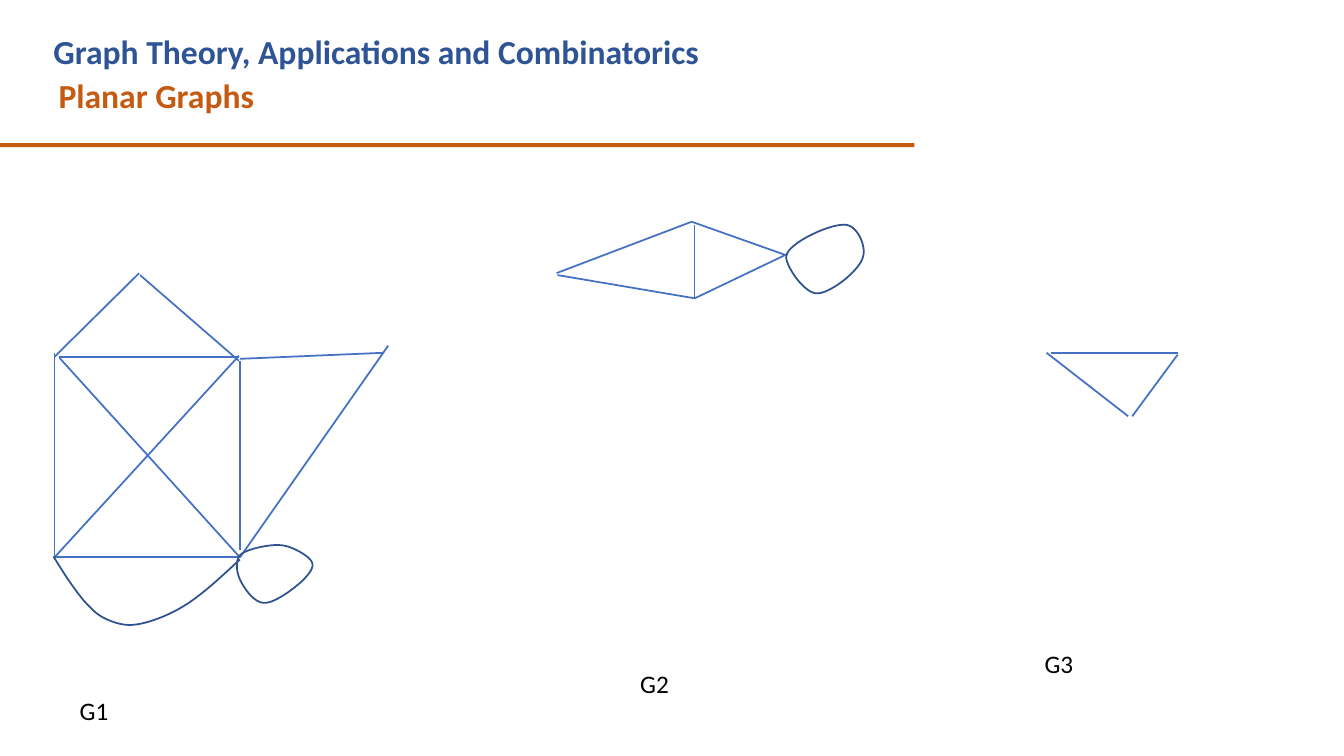
from dataclasses import dataclass

from pptx import Presentation
from pptx.dml.color import RGBColor
from pptx.enum.shapes import MSO_SHAPE
from pptx.enum.text import MSO_ANCHOR, MSO_AUTO_SIZE, PP_ALIGN
from pptx.util import Inches, Pt

RECTANGLE = MSO_SHAPE.RECTANGLE
TOP = MSO_ANCHOR.TOP
LEFT = PP_ALIGN.LEFT
NO_FIT = MSO_AUTO_SIZE.NONE
TITLE_ONLY = 5
CELL = Inches(0.1)
CURVE_STEPS = 6


@dataclass(frozen=True)
class Theme:
    font: str = "Calibri"
    heading: str = "2E5496"
    accent: str = "C55A11"
    edge: str = "4471C4"
    curve: str = "2E528F"
    label: str = "000000"
    title_size: int = 24
    label_size: int = 18
    line: float = 1.25
    thin_line: float = 0.75


THEME = Theme()

G1_EDGES = [
    ((5.9, 35.4), (23.7, 35.4)), ((23.8, 35.8), (23.8, 54.6)),
    ((5.4, 55.25), (23.7, 55.25)), ((5.4, 35.4), (13.8, 27.1)),
    ((13.9, 27.3), (23.7, 35.8)), ((23.8, 35.6), (38.1, 35)),
    ((23.8, 55.3), (38.5, 34.3)), ((5.4, 55.3), (23.7, 35.3)),
    ((5.9, 35.5), (23.8, 55.3)),
]
G1_SIDE = [((5.4, 35), (5.4, 55.3))]
G1_LOOP = [
    (23.9, 55), (23.5, 56.2), (23.9, 57.7), (25.1, 59.3), (26.4, 59.8),
    (28.2, 59), (30.2, 57.4), (31, 56), (30, 54.9), (28, 54.1), (25.7, 54.3),
]
G1_ARC = [
    (5.3, 55.2), (6.9, 57.7), (8.6, 59.9), (10.3, 61.3), (12.7, 62),
    (15.3, 61.5), (18.1, 60.2), (20.7, 58.3), (23.8, 55.5),
]
G2_EDGES = [
    ((55.2, 27.1), (68.6, 22)), ((55.3, 27.3), (68.9, 29.6)),
    ((68.6, 22), (77.9, 25.3)), ((68.9, 29.6), (78.1, 25.2)),
]
G2_MIDDLE = [((68.9, 22.3), (68.9, 29.6))]
G2_LOOP = [
    (78.1, 25.1), (78.2, 26.3), (79.4, 28.1), (80.9, 29.1), (82.7, 28.5),
    (84.6, 27), (85.6, 25.5), (85.5, 24), (84.7, 22.7), (83.6, 22.3),
    (81.6, 22.8), (79.4, 23.9),
]
G3_EDGES = [
    ((104.2, 35), (116.8, 35)), ((103.8, 35), (111.9, 41.3)),
    ((112.3, 41.3), (116.8, 35.2)),
]
LABELS = [("G1", 7.8, 68.9), ("G2", 63.4, 66.2), ("G3", 103.5, 64.2)]


def cells(count):
    return round(count * CELL)


def place(point):
    return tuple(cells(value) for value in point)


def colour(code):
    return RGBColor.from_string(code)


def prepare_frame(frame):
    frame.word_wrap = True
    frame.auto_size = NO_FIT
    frame.vertical_anchor = TOP
    frame.margin_left = frame.margin_right = frame.margin_bottom = 0
    frame.margin_top = Inches(0.01)


def format_para(para, *, margin, indent=0.0, spacing=1.0):
    para.alignment = LEFT
    para.line_spacing = spacing
    para.space_before = para.space_after = Pt(0)
    properties = para._p.get_or_add_pPr()
    properties.set("marL", str(Inches(margin)))
    properties.set("indent", str(Inches(indent)))


def add_span(para, text, *, size, ink, bold=False):
    span = para.add_run()
    span.text = text
    span.font.name = THEME.font
    span.font.size = Pt(size)
    span.font.bold = bold
    span.font.color.rgb = colour(ink)


def add_title(page):
    title = page.shapes.title
    title.left, title.top = place((4.9, 2.6))
    title.width, title.height = place((64.5, 9))
    prepare_frame(title.text_frame)
    para = title.text_frame.paragraphs[0]
    format_para(para, margin=0.09, indent=-0.05, spacing=1.09)
    style = {"size": THEME.title_size, "bold": True}
    add_span(para, "Graph Theory, Applications and Combinatorics ",
             ink=THEME.heading, **style)
    add_span(para, "Planar Graphs", ink=THEME.accent, **style)


def add_rule(page):
    rule = page.shapes.add_shape(
        RECTANGLE, 0, cells(14.2), cells(90.7), cells(0.4))
    rule.shadow.inherit = False
    rule.fill.solid()
    rule.fill.fore_color.rgb = colour(THEME.accent)
    rule.line.fill.background()


def add_outline(page, strokes, ink, width=THEME.line, closed=False):
    builder = page.shapes.build_freeform(*place(strokes[0][0]))
    for number, stroke in enumerate(strokes):
        if number:
            builder.move_to(*place(stroke[0]))
        builder.add_line_segments(
            [place(point) for point in stroke[1:]], close=closed)
    outline = builder.convert_to_shape()
    outline.shadow.inherit = False
    outline.fill.background()
    outline.line.color.rgb = colour(ink)
    outline.line.width = Pt(width)


def blend(before, start, end, after, t):
    return (2 * start + (end - before) * t
            + (2 * before - 5 * start + 4 * end - after) * t ** 2
            + (3 * start - before - 3 * end + after) * t ** 3) / 2


def smooth(knots, closed):
    if closed:
        padded = [knots[-1], *knots, knots[0], knots[1]]
    else:
        padded = [knots[0], *knots, knots[-1]]
    points = [knots[0]]
    for group in zip(padded, padded[1:], padded[2:], padded[3:]):
        for step in range(1, CURVE_STEPS + 1):
            t = step / CURVE_STEPS
            points.append(tuple(blend(*axis, t) for axis in zip(*group)))
    return points


def add_curve(page, knots, closed=True):
    add_outline(page, [smooth(knots, closed)], THEME.curve, closed=closed)


def add_label(page, text, column, row):
    box = page.shapes.add_textbox(
        cells(column), cells(row), cells(3.1), cells(3.3))
    prepare_frame(box.text_frame)
    para = box.text_frame.paragraphs[0]
    format_para(para, margin=0.01)
    add_span(para, text, size=THEME.label_size, ink=THEME.label)


def main():
    deck = Presentation()
    deck.slide_width, deck.slide_height = Inches(13.33), Inches(7.5)
    page = deck.slides.add_slide(deck.slide_layouts[TITLE_ONLY])
    add_title(page)
    add_rule(page)
    for edges in (G3_EDGES, G1_EDGES, G2_EDGES):
        add_outline(page, edges, THEME.edge)
    for edges in (G1_SIDE, G2_MIDDLE):
        add_outline(page, edges, THEME.edge, THEME.thin_line)
    for knots in (G1_LOOP, G2_LOOP):
        add_curve(page, knots)
    add_curve(page, G1_ARC, closed=False)
    for label in LABELS:
        add_label(page, *label)
    deck.save("out.pptx")


if __name__ == "__main__":
    main()
